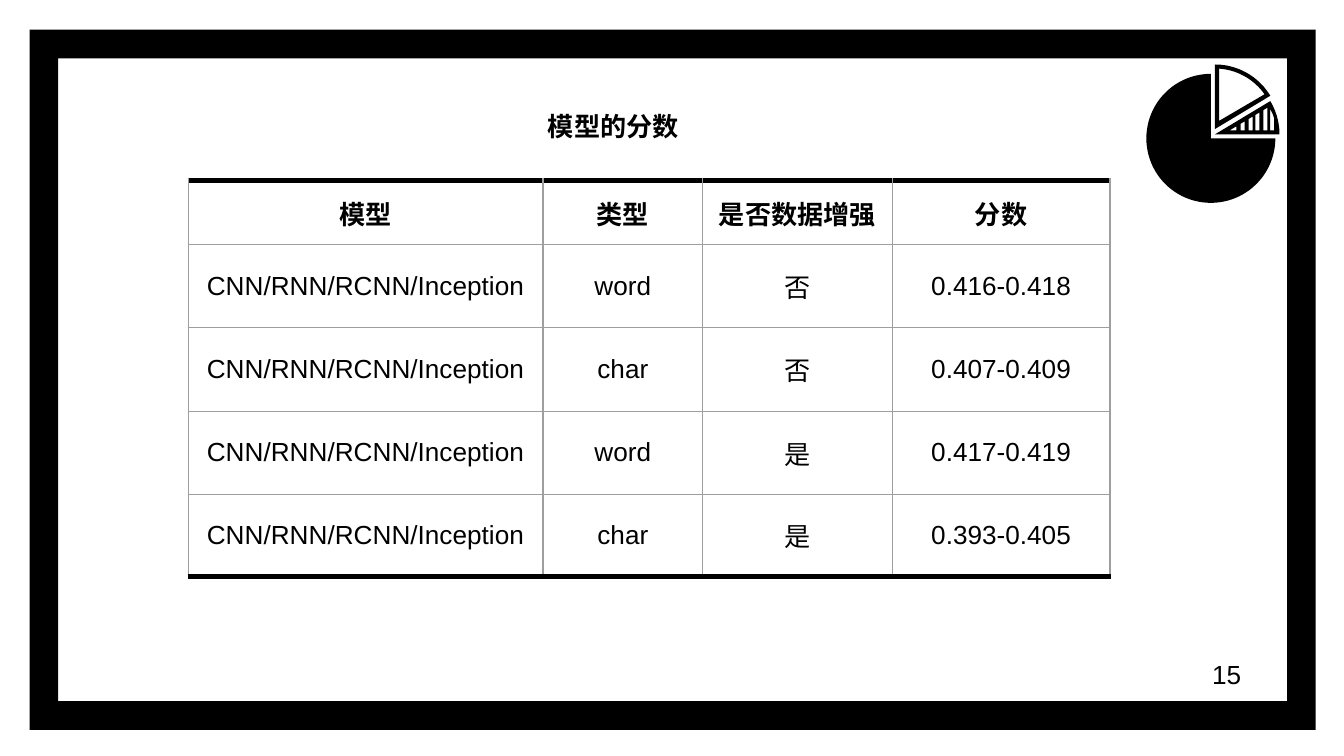
import math

import lxml.etree
import pptx
import pptx.dml.color
import pptx.enum.shapes
import pptx.enum.text
import pptx.oxml.ns
import pptx.util

Inches = pptx.util.Inches
Pt = pptx.util.Pt
SLIDE_WIDTH = Inches(10)
SLIDE_HEIGHT = SLIDE_WIDTH * 9 // 16
BLACK = pptx.dml.color.RGBColor(0x00, 0x00, 0x00)
GRAY = pptx.dml.color.RGBColor(0x9E, 0x9E, 0x9E)
CENTER = pptx.enum.text.PP_ALIGN.CENTER
LEFT = pptx.enum.text.PP_ALIGN.LEFT
TOP = pptx.enum.text.MSO_ANCHOR.TOP
MIDDLE = pptx.enum.text.MSO_ANCHOR.MIDDLE

MARGINS = {f"margin_{side}": Inches(0.1) for side in ("left", "right", "top", "bottom")}
TEXT_FORMAT = {"name": "Arial", "size": Pt(14)}

COLUMN_WIDTHS = [2.64, 1.19, 1.41, 1.62]
ROW_HEIGHTS = [0.48, 0.62, 0.62, 0.62, 0.61]
MODELS = "CNN/RNN/RCNN/Inception"
SCORES = [
    ["模型", "类型", "是否数据增强", "分数"],
    [MODELS, "word", "否", "0.416-0.418"],
    [MODELS, "char", "否", "0.407-0.409"],
    [MODELS, "word", "是", "0.417-0.419"],
    [MODELS, "char", "是", "0.393-0.405"],
]


def apply_format(target, values):
    for name, value in values.items():
        setattr(target, name, value)


def write_text(frame, text, align, bold=False):
    paragraph = frame.paragraphs[0]
    paragraph.alignment = align
    run = paragraph.add_run()
    run.text = text
    apply_format(run.font, {**TEXT_FORMAT, "bold": bold})
    run.font.color.rgb = BLACK


def paint_black(shape):
    shape.shadow.inherit = False
    shape.fill.solid()
    shape.fill.fore_color.rgb = BLACK
    shape.line.fill.background()


def add_frame(slide):
    frame = slide.shapes.add_shape(
        pptx.enum.shapes.MSO_SHAPE.FRAME,
        Inches(0.22), Inches(0.22), Inches(9.57), Inches(5.21))
    frame.adjustments[0] = 0.041
    paint_black(frame)


def add_label(slide, box, text, align, anchor, bold=False):
    label = slide.shapes.add_textbox(*map(Inches, box)).text_frame
    apply_format(label, {**MARGINS, "word_wrap": True, "vertical_anchor": anchor})
    write_text(label, text, align, bold)


def set_borders(cell, borders):
    properties = cell._tc.get_or_add_tcPr()
    for position, (side, (color, width)) in enumerate(borders.items()):
        line = lxml.etree.Element(pptx.oxml.ns.qn(f"a:ln{side}"), w=str(Pt(width)))
        fill = lxml.etree.SubElement(line, pptx.oxml.ns.qn("a:solidFill"))
        lxml.etree.SubElement(fill, pptx.oxml.ns.qn("a:srgbClr"), val=str(color))
        properties.insert(position, line)


def add_score_table(slide):
    table = slide.shapes.add_table(
        len(SCORES), len(COLUMN_WIDTHS), Inches(1.4), Inches(1.34),
        Inches(sum(COLUMN_WIDTHS)), Inches(sum(ROW_HEIGHTS))).table
    apply_format(table, {"first_row": False, "horz_banding": False})
    for column, width in zip(table.columns, COLUMN_WIDTHS):
        column.width = Inches(width)
    for row, height in zip(table.rows, ROW_HEIGHTS):
        row.height = Inches(height)

    thin, thick = (GRAY, 0.75), (BLACK, 3)
    last = len(SCORES) - 1
    for row_index, values in enumerate(SCORES):
        borders = {
            "L": thin,
            "R": thin,
            "T": thick if row_index == 0 else thin,
            "B": thick if row_index == last else thin,
        }
        for column_index, value in enumerate(values):
            cell = table.cell(row_index, column_index)
            apply_format(cell, {**MARGINS, "vertical_anchor": MIDDLE})
            cell.fill.background()
            set_borders(cell, borders)
            write_text(cell.text_frame, value, CENTER, bold=row_index == 0)


def arc(center, radius, start, end, steps=24):
    angles = [math.radians(start + (end - start) * i / steps) for i in range(steps + 1)]
    return [(center[0] + radius * math.cos(a), center[1] + radius * math.sin(a))
            for a in angles]


def add_outline(group, contours):
    contours = [[(Inches(x), Inches(y)) for x, y in contour] for contour in contours]
    builder = group.shapes.build_freeform(*contours[0][0], scale=1.0)
    for index, contour in enumerate(contours):
        if index:
            builder.move_to(*contour[0])
        builder.add_line_segments(contour[1:], close=True)
    paint_black(builder.convert_to_shape())


def hatch_gaps():
    base = 0.97

    def slope(x):
        return base - 0.6 * (x - 9.15)

    gaps = [[(9.2, slope(9.2)), (9.2, base), (9.15, base)]]
    for left in (9.23, 9.29, 9.34, 9.4):
        right = left + 0.03
        gaps.append([(left, slope(left)), (right, slope(right)), (right, base), (left, base)])
    gaps.append([(9.45, 0.81), (9.47, 0.85), (9.48, 0.88), (9.48, base), (9.45, base)])
    return gaps


def add_pie_icon(slide):
    icon = slide.shapes.add_group_shape()
    pie_center, hatch_tip, slice_tip = (9.01, 1.03), (9.04, 1), (9.04, 0.96)
    add_outline(icon, [[pie_center] + arc(pie_center, 0.48, 0, 270, 72)])
    add_outline(icon, [[hatch_tip] + arc(hatch_tip, 0.48, -31, 0)] + hatch_gaps())
    add_outline(icon, [
        [slice_tip] + arc(slice_tip, 0.48, -90, -31),
        [(9.07, 0.9)] + arc(slice_tip, 0.45, -86, -35),
    ])


def main():
    deck = pptx.Presentation()
    apply_format(deck, {"slide_width": SLIDE_WIDTH, "slide_height": SLIDE_HEIGHT})
    slide = deck.slides.add_slide(deck.slide_layouts[6])
    add_frame(slide)
    add_label(slide, (8.92, 4.8, 0.6, 0.43), "15", LEFT, MIDDLE)
    add_score_table(slide)
    add_label(slide, (2.65, 0.72, 3.83, 0.55), "模型的分数", CENTER, TOP, bold=True)
    add_pie_icon(slide)
    deck.save("out.pptx")


if __name__ == "__main__":
    main()
